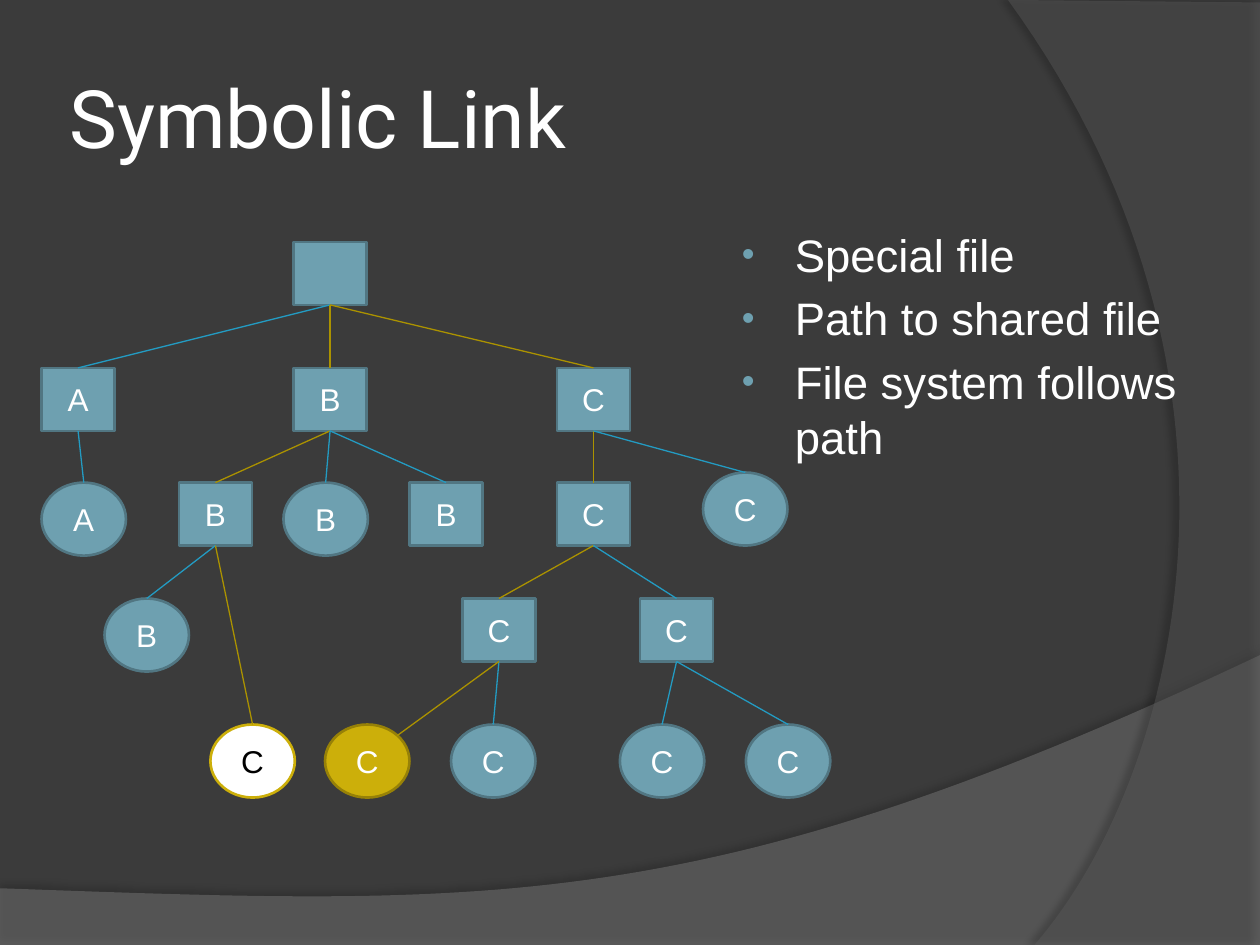
from pptx import Presentation
from pptx.dml.color import RGBColor
from pptx.enum.shapes import MSO_CONNECTOR as Connector, MSO_SHAPE as Shape
from pptx.enum.text import MSO_ANCHOR as Anchor, PP_ALIGN as Align
from pptx.oxml import parse_xml
from pptx.oxml.ns import nsdecls
from pptx.util import Inches, Pt

COLORS = {
    "background": "3B3B3B", "text": "FFFFFF", "dark text": "000000",
    "node": "6EA0B0", "node edge": "517682",
    "gold": "CCAF0A", "gold edge": "978107",
    "link": "239BC2", "gold link": "AB9200",
    "lower band": "7F7F7F", "right band": "5E5E5E",
}


def rgb(name):
    return RGBColor.from_string(COLORS[name])


def write(para, text, size=18, font="Arial", color="text", align=Align.LEFT):
    para.alignment = align
    span = para.add_run()
    span.text = text
    span.font.size = Pt(size)
    span.font.name = font
    span.font.color.rgb = rgb(color)


deck = Presentation()
deck.slide_width, deck.slide_height = Inches(10), Inches(7.5)
page = deck.slides.add_slide(deck.slide_layouts[5])
page.background.fill.solid()
page.background.fill.fore_color.rgb = rgb("background")

# Curved background bands: corners, then a Bezier curve from the last corner
# color, alpha %, shadow alpha %, shadow distance, shadow angle, corners, curve
bands = [
    ("lower band", 45, 35, 3.5, 270, [(0, 7.05), (0, 7.5), (10, 7.5), (10, 5.2)],
     [(5.59, 7.29), (3.91, 7.19), (0, 7.05)]),
    ("right band", 40, 45, 4, 180, [(10, 0.02), (10, 7.5), (8.21, 7.5)],
     [(9.35, 6.19), (10.18, 3), (8, 0)]),
]
STEPS = 60
for color, alpha, shade, distance, angle, corners, curve in bands:
    points = list(corners)
    for step in range(1, STEPS + 1):
        t = step / STEPS
        weights = ((1 - t) ** 3, 3 * t * (1 - t) ** 2, 3 * t * t * (1 - t), t ** 3)
        anchors = [corners[-1], *curve]
        points.append(tuple(sum(w * a[axis] for w, a in zip(weights, anchors))
                            for axis in (0, 1)))
    points = [(Inches(x), Inches(y)) for x, y in points]
    builder = page.shapes.build_freeform(*points[0])
    builder.add_line_segments(points[1:], close=True)
    band = builder.convert_to_shape()
    band.fill.solid()
    band.fill.fore_color.rgb = rgb(color)
    band.line.fill.background()
    fill_color = band._element.spPr.find("{*}solidFill/{*}srgbClr")
    fill_color.append(parse_xml(f'<a:alpha {nsdecls("a")} val="{alpha * 1000}"/>'))
    band._element.spPr.append(parse_xml(
        f'<a:effectLst {nsdecls("a")}><a:outerShdw blurRad="{Pt(4)}" '
        f'dist="{Pt(distance)}" dir="{angle * 60000}" algn="ctr" rotWithShape="0">'
        f'<a:srgbClr val="000000"><a:alpha val="{shade * 1000}"/></a:srgbClr>'
        '</a:outerShdw></a:effectLst>'))

# Title
title = page.shapes.title
title.left, title.top = Inches(0.5), Inches(0.3)
title.width, title.height = Inches(8.17), Inches(1.25)
frame = title.text_frame
frame.vertical_anchor = Anchor.MIDDLE
frame.margin_left = frame.margin_right = Inches(0.05)
frame.margin_top = frame.margin_bottom = Inches(0.05)
write(frame.paragraphs[0], "Symbolic Link", size=46, font="Roboto")

# Bullet list
box = page.shapes.add_textbox(Inches(5.75), Inches(1.75), Inches(4.25), Inches(4.95))
frame = box.text_frame
frame.word_wrap = True
bullets = ["Special file", "Path to shared file", "File system follows path"]
for index, text in enumerate(bullets):
    para = frame.paragraphs[0] if index == 0 else frame.add_paragraph()
    props = para._p.get_or_add_pPr()
    props.set("marL", str(Inches(0.46)))
    props.set("indent", str(Inches(-0.42)))
    for xml in (f'<a:buClr {nsdecls("a")}><a:srgbClr val="{COLORS["node"]}"/></a:buClr>',
                f'<a:buSzPct {nsdecls("a")} val="80000"/>',
                f'<a:buFont {nsdecls("a")} typeface="Arial"/>',
                f'<a:buChar {nsdecls("a")} char="•"/>'):
        props.append(parse_xml(xml))
    para.space_before = Pt(5.2 if index else 0)
    write(para, text, size=26)

# Tree nodes: directories are rectangles, files are ellipses
SIZES = {Shape.RECTANGLE: (0.58, 0.5), Shape.OVAL: (0.67, 0.58)}
STYLES = {
    "plain": ("node", "node edge", "text"),
    "shared": ("gold", "gold edge", "text"),
    "symlink": ("text", "gold", "dark text"),
}
DIR, FILE = Shape.RECTANGLE, Shape.OVAL
# key: kind, label, left, top, style
nodes = {
    "root": (DIR, "", 2.33, 1.92, "plain"),
    "A": (DIR, "A", 0.33, 2.92, "plain"),
    "B": (DIR, "B", 2.33, 2.92, "plain"),
    "C": (DIR, "C", 4.42, 2.92, "plain"),
    "A file": (FILE, "A", 0.33, 3.83, "plain"),
    "B left": (DIR, "B", 1.42, 3.83, "plain"),
    "B file": (FILE, "B", 2.25, 3.83, "plain"),
    "B right": (DIR, "B", 3.25, 3.83, "plain"),
    "C sub": (DIR, "C", 4.42, 3.83, "plain"),
    "C file": (FILE, "C", 5.58, 3.75, "plain"),
    "B leaf": (FILE, "B", 0.83, 4.75, "plain"),
    "C left": (DIR, "C", 3.67, 4.75, "plain"),
    "C right": (DIR, "C", 5.08, 4.75, "plain"),
    "symlink": (FILE, "C", 1.67, 5.75, "symlink"),
    "shared": (FILE, "C", 2.58, 5.75, "shared"),
    "C leaf 1": (FILE, "C", 3.58, 5.75, "plain"),
    "C leaf 2": (FILE, "C", 4.92, 5.75, "plain"),
    "C leaf 3": (FILE, "C", 5.92, 5.75, "plain"),
}
shapes = {}
for key, (kind, label, left, top, style) in nodes.items():
    fill, edge, ink = STYLES[style]
    width, height = SIZES[kind]
    node = page.shapes.add_shape(kind, Inches(left), Inches(top),
                                 Inches(width), Inches(height))
    node.shadow.inherit = False
    node.fill.solid()
    node.fill.fore_color.rgb = rgb(fill)
    node.line.color.rgb = rgb(edge)
    node.line.width = Pt(1.5)
    if label:
        node.text_frame.vertical_anchor = Anchor.MIDDLE
        write(node.text_frame.paragraphs[0], label, color=ink, align=Align.CENTER)
    shapes[key] = node

# Tree links: parent to children; gold links lead to the shared file
children = {
    "root": ["A", "B", "C"],
    "A": ["A file"],
    "B": ["B left", "B file", "B right"],
    "C": ["C sub", "C file"],
    "B left": ["B leaf", "symlink"],
    "C sub": ["C left", "C right"],
    "C left": ["C leaf 1", "shared"],
    "C right": ["C leaf 2", "C leaf 3"],
}
gold_path = {"B", "C", "B left", "symlink", "C sub", "C left", "shared"}
TOP, BOTTOM = 0, 2
for parent, names in children.items():
    for name in names:
        # The shared file is met at its upper right edge, the others at the top
        link = page.shapes.add_connector(Connector.STRAIGHT, 0, 0,
                                         Inches(3.15), Inches(5.84))
        link.begin_connect(shapes[parent], BOTTOM)
        if name != "shared":
            link.end_connect(shapes[name], TOP)
        link.line.color.rgb = rgb("gold link" if name in gold_path else "link")
        link.line.width = Pt(0.75)
        link._element.spPr.append(parse_xml(f'<a:effectLst {nsdecls("a")}/>'))

deck.save("out.pptx")
